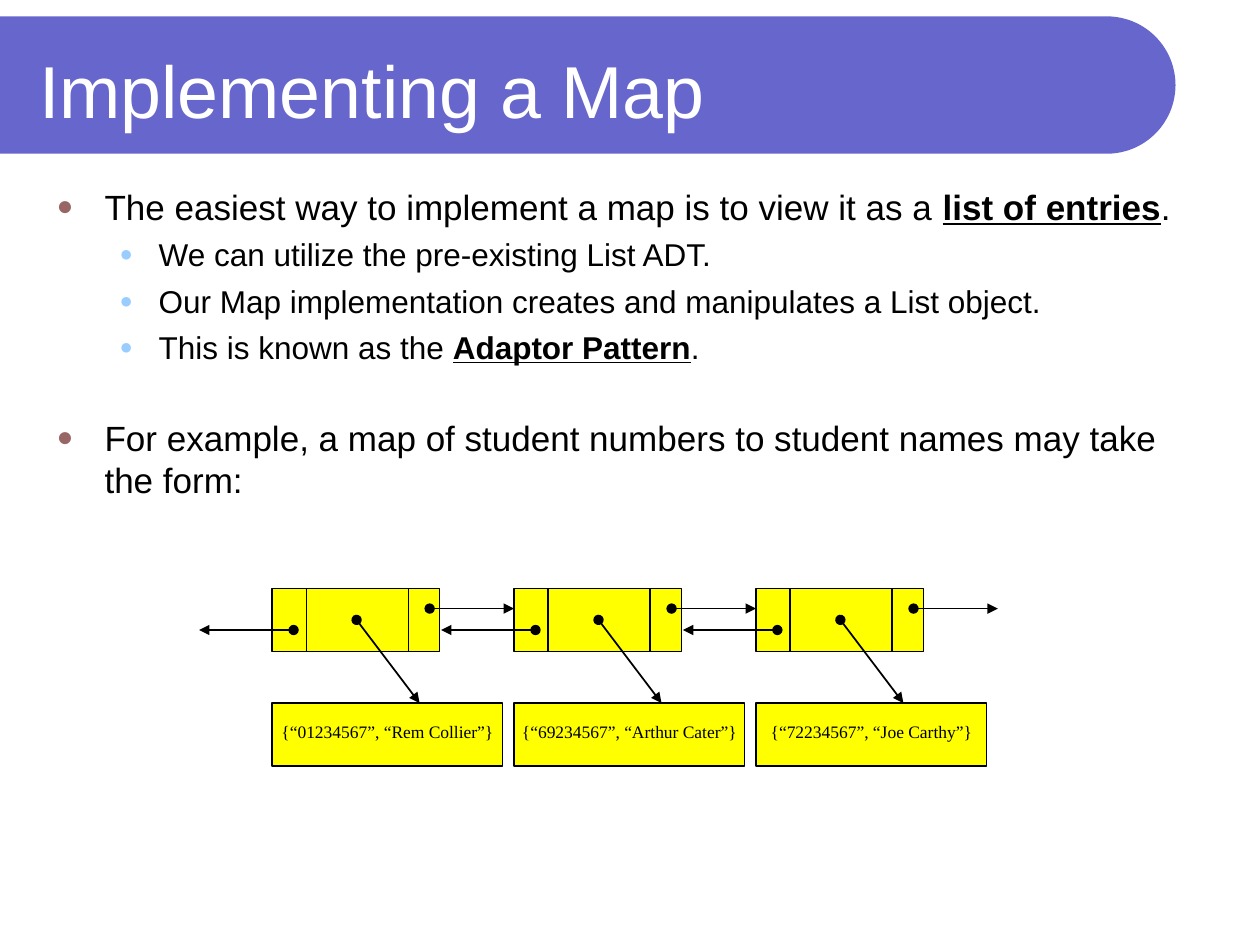
import math

from lxml import etree
from pptx import Presentation
from pptx.dml.color import RGBColor
from pptx.enum.shapes import MSO_CONNECTOR, MSO_SHAPE
from pptx.enum.text import MSO_ANCHOR, MSO_AUTO_SIZE, PP_ALIGN
from pptx.oxml.ns import qn
from pptx.util import Inches, Pt

STRAIGHT = MSO_CONNECTOR.STRAIGHT
RECTANGLE = MSO_SHAPE.RECTANGLE
MIDDLE, TOP = MSO_ANCHOR.MIDDLE, MSO_ANCHOR.TOP
LEFT, CENTER = PP_ALIGN.LEFT, PP_ALIGN.CENTER
NO_AUTOFIT = MSO_AUTO_SIZE.NONE

COLORS = {
    "banner": "6666CC",
    "title": "FFFFFF",
    "text": "000000",
    "bullet": "996666",
    "sub_bullet": "99CCFF",
    "node": "FFFF00",
    "line": "000000",
}

# Per level: text size, left margin, hanging indent, bullet colour, bullet size %
LEVELS = [
    (20, 0.38, 0.38, "bullet", 80),
    (18, 0.81, 0.31, "sub_bullet", 70),
]

# Level, space before in points, runs as (text, emphasised)
POINTS = [
    (0, 0, [("The easiest way to implement a map is to view it as a ", False),
            ("list of entries", True), (".", False)]),
    (1, 4.7, [("We can utilize the pre-existing List ADT.", False)]),
    (1, 4.7, [("Our Map implementation creates and manipulates a List object.", False)]),
    (1, 4.7, [("This is known as the ", False), ("Adaptor Pattern", True), (".", False)]),
    (0, 29, [("For example, a map of student numbers to student names may take "
              "the form:", False)]),
]

ENTRIES = [
    "{“01234567”, “Rem Collier”}",
    "{“69234567”, “Arthur Cater”}",
    "{“72234567”, “Joe Carthy”}",
]


def color(name):
    return RGBColor.from_string(COLORS[name])


def place(shape, left, top, width, height):
    shape.left, shape.top = Inches(left), Inches(top)
    shape.width, shape.height = Inches(width), Inches(height)


def style_font(font, name, size, color_name):
    font.name, font.size = name, Pt(size)
    font.color.rgb = color(color_name)


def add_banner(slide, left, top, width, height):
    """Bar with a half-round right end, behind everything else."""
    radius = height / 2
    center_x, center_y = left + width - radius, top + radius
    angles = [math.radians(degree) for degree in range(-90, 91, 3)]
    outline = [(Inches(center_x + radius * math.cos(angle)),
                Inches(center_y + radius * math.sin(angle))) for angle in angles]
    outline.append((Inches(left), Inches(top + height)))
    builder = slide.shapes.build_freeform(Inches(left), Inches(top))
    builder.add_line_segments(outline, close=True)
    banner = builder.convert_to_shape()
    banner.shadow.inherit = False
    banner.fill.solid()
    banner.fill.fore_color.rgb = color("banner")
    banner.line.fill.background()
    slide.shapes._spTree.insert(2, banner._element)


def fill_title(slide, left, top, width, height):
    title = slide.shapes.title
    place(title, left, top, width, height)
    frame = title.text_frame
    frame.auto_size = NO_AUTOFIT
    frame.vertical_anchor = MIDDLE
    heading = frame.paragraphs[0]
    heading.alignment = LEFT
    run = heading.add_run()
    run.text = "Implementing a Map"
    style_font(run.font, "Arial", 42, "title")


def set_bullet(paragraph, margin, hanging, color_name, percent):
    properties = paragraph._p.get_or_add_pPr()
    properties.set("marL", str(Inches(margin)))
    properties.set("indent", str(-Inches(hanging)))
    bullet_color = etree.SubElement(properties, qn("a:buClr"))
    etree.SubElement(bullet_color, qn("a:srgbClr"), val=COLORS[color_name])
    etree.SubElement(properties, qn("a:buSzPct"), val=str(percent * 1000))
    etree.SubElement(properties, qn("a:buFont"), typeface="Arial")
    etree.SubElement(properties, qn("a:buChar"), char="●")


def fill_points(slide, left, top, width, height):
    body = slide.placeholders[1]
    place(body, left, top, width, height)
    frame = body.text_frame
    frame.auto_size = NO_AUTOFIT
    frame.vertical_anchor = TOP
    for index, (level, space_before, runs) in enumerate(POINTS):
        point = frame.add_paragraph() if index else frame.paragraphs[0]
        size, *bullet = LEVELS[level]
        point.level = level
        set_bullet(point, *bullet)
        point.space_before = Pt(space_before)
        for text, emphasised in runs:
            run = point.add_run()
            run.text = text
            style_font(run.font, "Arial", size, "text")
            run.font.bold = run.font.underline = emphasised


def add_box(slide, left, top, width, height):
    box = slide.shapes.add_shape(RECTANGLE, Inches(left), Inches(top),
                                 Inches(width), Inches(height))
    box.shadow.inherit = False
    box.fill.solid()
    box.fill.fore_color.rgb = color("node")
    box.line.color.rgb = color("line")
    box.line.width = Pt(0.75)
    return box


def add_line(slide, x1, y1, x2, y2, weight):
    line = slide.shapes.add_connector(STRAIGHT, Inches(x1), Inches(y1),
                                      Inches(x2), Inches(y2))
    line.line.color.rgb = color("line")
    line.line.width = Pt(weight)
    etree.SubElement(line._element.spPr, qn("a:effectLst"))
    return line


def add_pointer(slide, x1, y1, x2, y2):
    """Reference arrow: dot at its start, triangle at its end."""
    stroke = add_line(slide, x1, y1, x2, y2, 1).line._get_or_add_ln()
    etree.SubElement(stroke, qn("a:headEnd"), type="oval")
    etree.SubElement(stroke, qn("a:tailEnd"), type="triangle")


def add_node(slide, left, top, entry):
    """List node with its entry box and its three pointers."""
    add_box(slide, left, top, 1.33, 0.5)
    for divider in (0.27, 1.08):
        add_line(slide, left + divider, top, left + divider, top + 0.5, 0.75)

    entry_box = add_box(slide, left, top + 0.91, 1.83, 0.5)
    frame = entry_box.text_frame
    frame.word_wrap = False
    frame.vertical_anchor = MIDDLE
    label = frame.paragraphs[0]
    label.alignment = CENTER
    label.line_spacing = 0.6
    run = label.add_run()
    run.text = entry
    style_font(run.font, "Times New Roman", 10, "text")

    # Pointers to the entry, the next node and the previous node
    for x1, y1, x2, y2 in ((0.67, 0.25, 1.17, 0.91),
                           (1.25, 0.16, 1.92, 0.16),
                           (0.17, 0.33, -0.58, 0.33)):
        add_pointer(slide, left + x1, top + y1, left + x2, top + y2)


def add_linked_list(slide, left, top, pitch):
    for index, entry in enumerate(ENTRIES):
        add_node(slide, left + index * pitch, top, entry)


def main():
    deck = Presentation()
    deck.slide_width, deck.slide_height = Inches(10), Inches(7.5)
    slide = deck.slides.add_slide(deck.slide_layouts[1])
    add_banner(slide, 0, 0.13, 9.33, 1.09)
    fill_title(slide, 0.21, 0.21, 8.77, 1)
    fill_points(slide, 0.35, 1.42, 9.29, 5.72)
    add_linked_list(slide, 2.16, 4.67, 1.92)
    deck.save("out.pptx")


if __name__ == "__main__":
    main()
